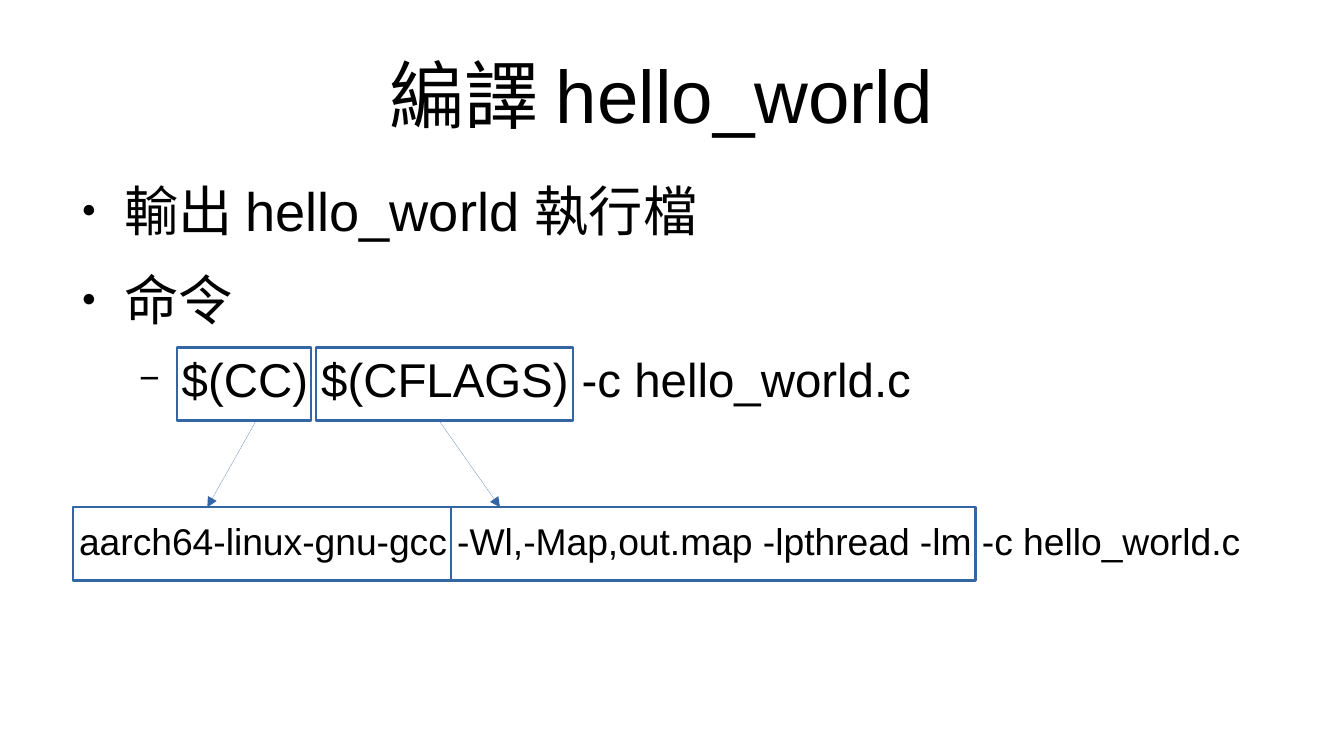
from lxml.etree import SubElement
from pptx import Presentation
from pptx.dml.color import RGBColor as Rgb
from pptx.enum.shapes import MSO_CONNECTOR as Link, MSO_SHAPE as Kind
from pptx.enum.text import MSO_ANCHOR as Anchor, MSO_AUTO_SIZE as Fit, PP_ALIGN as Align
from pptx.oxml.ns import qn
from pptx.util import Inches, Pt

COLORS = {"text": "000000", "line": "3465A4"}
FONT = "Arial"
TITLE = "編譯 hello_world "
ITEMS = [
    (0, "輸出 hello_world 執行檔"),
    (0, "命令"),
    (1, "$(CC) $(CFLAGS) -c hello_world.c"),
]
LEVELS = [
    {"size": 32, "left": 0.47, "gap": 14.2, "mark": "●", "scale": 45},
    {"size": 28, "left": 0.94, "gap": 11.3, "mark": "−", "scale": 75},
]
COMMAND = "aarch64-linux-gnu-gcc -Wl,-Map,out.map -lpthread -lm -c hello_world.c"
HIGH = 0.6
UPPER, LOWER = 2.85, 4.16
FRAMES = [(2.59, UPPER, 2.11), (1.45, UPPER, 1.1), (0.6, LOWER, 3.1), (3.7, LOWER, 4.3)]
ARROWS = [(2.1, 1.7), (3.6, 4.1)]


def color(name):
    return Rgb.from_string(COLORS[name])


def place(shape, *box):
    shape.left, shape.top, shape.width, shape.height = map(Inches, box)


def pad(frame, x, y):
    frame.margin_left = frame.margin_right = Inches(x)
    frame.margin_top = frame.margin_bottom = Inches(y)
    frame.word_wrap = True
    frame.auto_size = Fit.NONE


def style(para, text, size):
    para.text = text
    para.font.name = FONT
    para.font.size = Pt(size)
    para.font.color.rgb = color("text")


def bullet(para, level):
    para.space_before = Pt(level["gap"])
    props = para._p.get_or_add_pPr()
    props.set("marL", str(Inches(level["left"])))
    props.set("indent", str(Inches(-0.35)))
    tint = SubElement(props, qn("a:buClr"))
    SubElement(tint, qn("a:srgbClr"), val=COLORS["text"])
    SubElement(props, qn("a:buSzPct"), val=str(level["scale"] * 1000))
    SubElement(props, qn("a:buFont"), typeface=FONT)
    SubElement(props, qn("a:buChar"), char=level["mark"])


def add_frame(shapes, x, y, wide):
    box = shapes.add_shape(Kind.RECTANGLE, *map(Inches, (x, y, wide, HIGH)))
    box.shadow.inherit = False
    box.fill.background()
    box.line.color.rgb = color("line")
    box.line.width = Pt(1.5)


def add_arrow(shapes, start, end):
    ends = (start, UPPER + HIGH, end, LOWER)
    arrow = shapes.add_connector(Link.STRAIGHT, *map(Inches, ends))
    arrow.line.color.rgb = color("line")
    line = arrow.line._get_or_add_ln()
    line.set("w", "0")
    SubElement(line, qn("a:tailEnd"), type="triangle")
    SubElement(arrow._element.spPr, qn("a:effectLst"))


def main():
    deck = Presentation()
    deck.slide_width, deck.slide_height = Inches(11.02), Inches(6.2)
    slide = deck.slides.add_slide(deck.slide_layouts[1])
    shapes = slide.shapes

    title, body = slide.placeholders
    place(title, 0.55, 0.25, 9.92, 1.04)
    pad(title.text_frame, 0, 0)
    title.text_frame.vertical_anchor = Anchor.MIDDLE
    head = title.text_frame.paragraphs[0]
    style(head, TITLE, 44)
    head.alignment = Align.CENTER

    place(body, 0.55, 1.45, 9.92, 3.6)
    frame = body.text_frame
    pad(frame, 0, 0)
    for i, (depth, text) in enumerate(ITEMS):
        para = frame.add_paragraph() if i else frame.paragraphs[0]
        para.level = depth
        style(para, text, LEVELS[depth]["size"])
        bullet(para, LEVELS[depth])

    note = shapes.add_textbox(*map(Inches, (0.55, 4.2, 10.42, HIGH)))
    pad(note.text_frame, 0.1, 0.05)
    style(note.text_frame.paragraphs[0], COMMAND, 22)

    for spot in FRAMES:
        add_frame(shapes, *spot)
    for start, end in ARROWS:
        add_arrow(shapes, start, end)
    deck.save("out.pptx")


if __name__ == "__main__":
    main()
